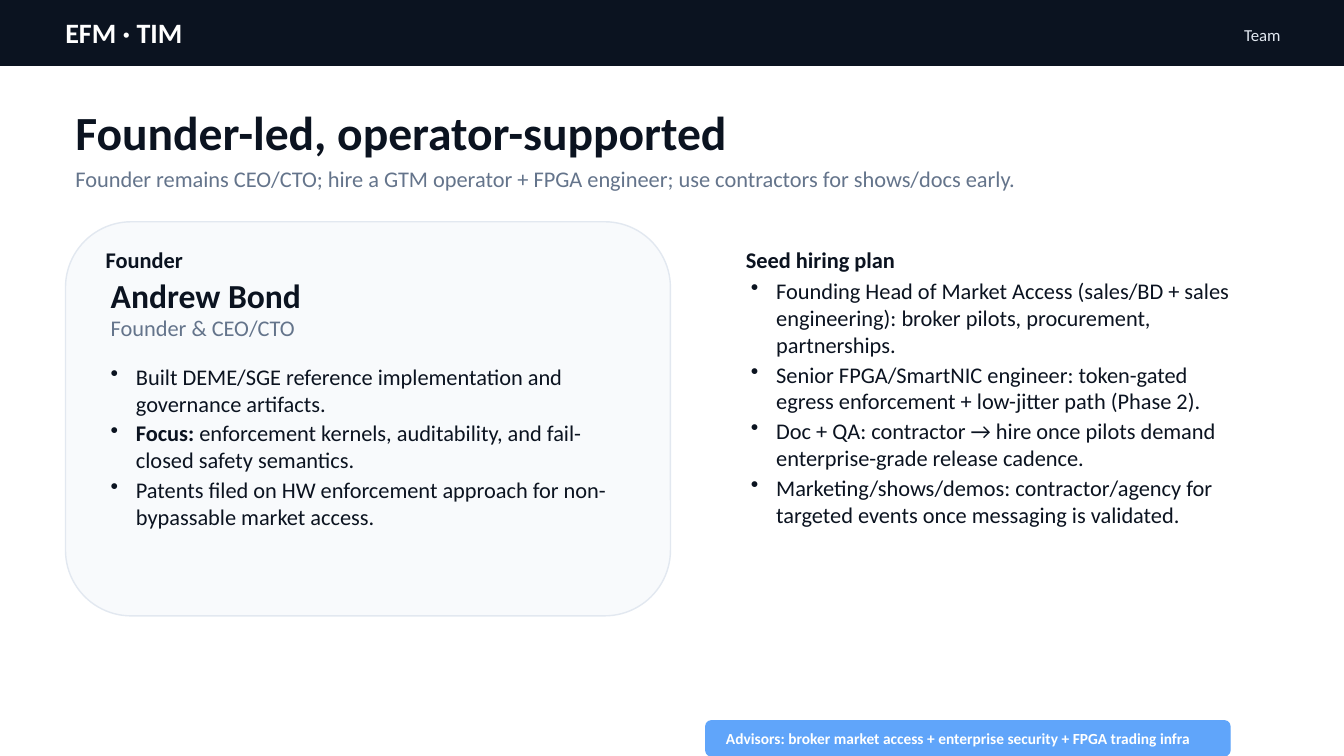
from dataclasses import dataclass

from lxml.etree import SubElement
from pptx import Presentation
from pptx.dml.color import RGBColor as RGB
from pptx.enum.shapes import MSO_SHAPE as SHAPE
from pptx.enum.text import MSO_ANCHOR as ANCHOR, PP_ALIGN as ALIGN
from pptx.oxml.ns import qn
from pptx.util import Inches, Pt


@dataclass(frozen=True)
class Theme:
    font: str = "Calibri"
    ink: str = "0B1320"
    muted: str = "64748B"
    pale: str = "E2E8F0"
    panel: str = "F8FAFC"
    accent: str = "60A5FA"
    white: str = "FFFFFF"
    title: int = 34
    name: int = 24
    brand: int = 20
    body: int = 16
    label: int = 12
    note: int = 11


def add_run(paragraph, text, size, color, font, bold=False):
    run = paragraph.add_run()
    run.text = text
    run.font.name = font
    run.font.size = Pt(size)
    run.font.bold = bold
    run.font.color.rgb = RGB.from_string(color)


class SlideBuilder:
    def __init__(self, slide, theme):
        self.slide = slide
        self.theme = theme

    def panel(self, preset, box, fill, border=None):
        shape = self.slide.shapes.add_shape(preset, *map(Inches, box))
        shape.shadow.inherit = False
        shape.fill.solid()
        shape.fill.fore_color.rgb = RGB.from_string(fill)
        shape.line.color.rgb = RGB.from_string(border or fill)
        shape.line.width = Pt(1)

    def frame(self, box, anchor, insets=(0.1, 0.05)):
        frame = self.slide.shapes.add_textbox(*map(Inches, box)).text_frame
        frame.word_wrap = True
        frame.vertical_anchor = anchor
        frame.margin_left = frame.margin_right = Inches(insets[0])
        frame.margin_top = frame.margin_bottom = Inches(insets[1])
        return frame

    def text(self, text, box, size=None, color=None, bold=False,
             align=ALIGN.LEFT, insets=(0.1, 0.05)):
        paragraph = self.frame(box, ANCHOR.MIDDLE, insets).paragraphs[0]
        paragraph.alignment = align
        add_run(paragraph, text, size or self.theme.body,
                color or self.theme.ink, self.theme.font, bold)

    def bullets(self, items, box):
        frame = self.frame(box, ANCHOR.TOP)
        for index, (lead, detail) in enumerate(items):
            paragraph = frame.add_paragraph() if index else frame.paragraphs[0]
            properties = paragraph._p.get_or_add_pPr()
            properties.set("marL", str(Inches(0.25)))
            properties.set("indent", str(-Inches(0.25)))
            SubElement(properties, qn("a:buChar")).set("char", "•")
            paragraph.space_after = Pt(2.1)
            for part, bold in ((lead, True), (detail, False)):
                if part:
                    add_run(paragraph, part, self.theme.body, self.theme.ink,
                            self.theme.font, bold)


ACHIEVEMENTS = [
    ("", "Built DEME/SGE reference implementation and governance artifacts."),
    ("Focus: ", "enforcement kernels, auditability, and fail-closed safety semantics."),
    ("", "Patents filed on HW enforcement approach for non-bypassable market access."),
]
HIRES = [
    ("", "Founding Head of Market Access (sales/BD + sales engineering): "
         "broker pilots, procurement, partnerships."),
    ("", "Senior FPGA/SmartNIC engineer: token-gated egress enforcement + "
         "low-jitter path (Phase 2)."),
    ("", "Doc + QA: contractor → hire once pilots demand enterprise-grade release cadence."),
    ("", "Marketing/shows/demos: contractor/agency for targeted events once "
         "messaging is validated."),
]


def main():
    deck = Presentation()
    deck.slide_width, deck.slide_height = Inches(13.33), Inches(7.5)
    theme = Theme()
    team = SlideBuilder(deck.slides.add_slide(deck.slide_layouts[6]), theme)

    team.panel(SHAPE.RECTANGLE, (0, 0, 13.33, 0.65), theme.ink)
    team.text("EFM · TIM", (0.55, 0.15, 9.5, 0.35), theme.brand, theme.white, bold=True)
    team.text("Team", (10.1, 0.2, 2.7, 0.3), theme.label, theme.pale, align=ALIGN.RIGHT)
    team.text("Founder-led, operator-supported", (0.65, 0.95, 12.03, 0.7),
              theme.title, bold=True)
    team.text("Founder remains CEO/CTO; hire a GTM operator + FPGA engineer; "
              "use contractors for shows/docs early.",
              (0.65, 1.55, 12.03, 0.45), color=theme.muted)

    team.panel(SHAPE.ROUNDED_RECTANGLE, (0.65, 2.2, 6, 3.91), theme.panel, theme.pale)
    team.text("Founder", (0.95, 2.4, 5.4, 0.35), bold=True)
    team.text("Andrew Bond", (1, 2.75, 5.3, 0.35), theme.name, bold=True)
    team.text("Founder & CEO/CTO", (1, 3.1, 5.3, 0.3), color=theme.muted)
    team.bullets(ACHIEVEMENTS, (1, 3.55, 5.3, 3.8))

    team.text("Seed hiring plan", (7.3, 2.4, 5.05, 0.35), bold=True)
    team.bullets(HIRES, (7.35, 2.7, 4.95, 3.8))

    team.panel(SHAPE.ROUNDED_RECTANGLE, (7, 7.15, 5.2, 0.35), theme.accent)
    team.text("Advisors: broker market access + enterprise security + FPGA trading infra",
              (7.15, 7.15, 4.9, 0.35), theme.note, theme.white, bold=True,
              insets=(0.05, 0.03))

    deck.save("out.pptx")


if __name__ == "__main__":
    main()
